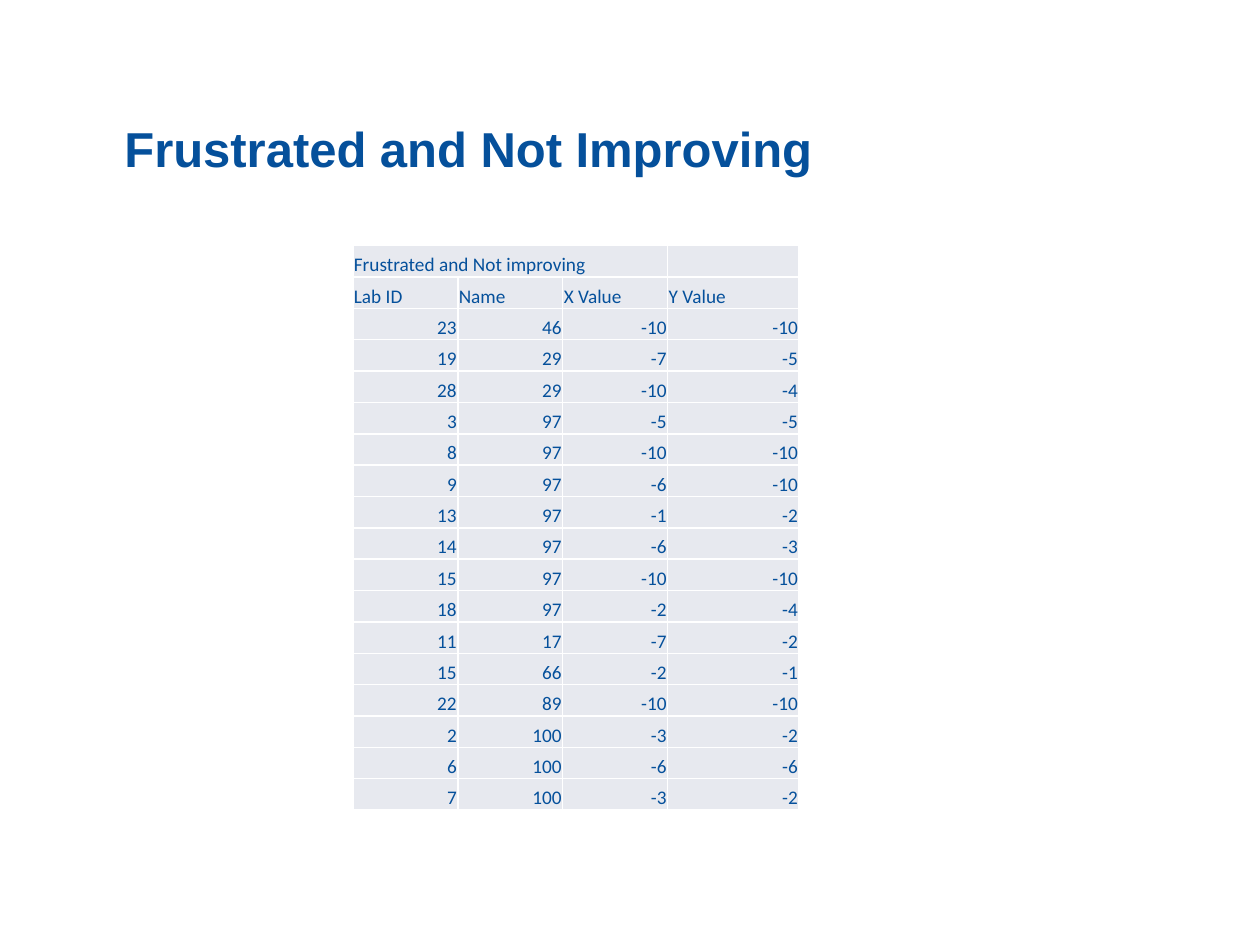
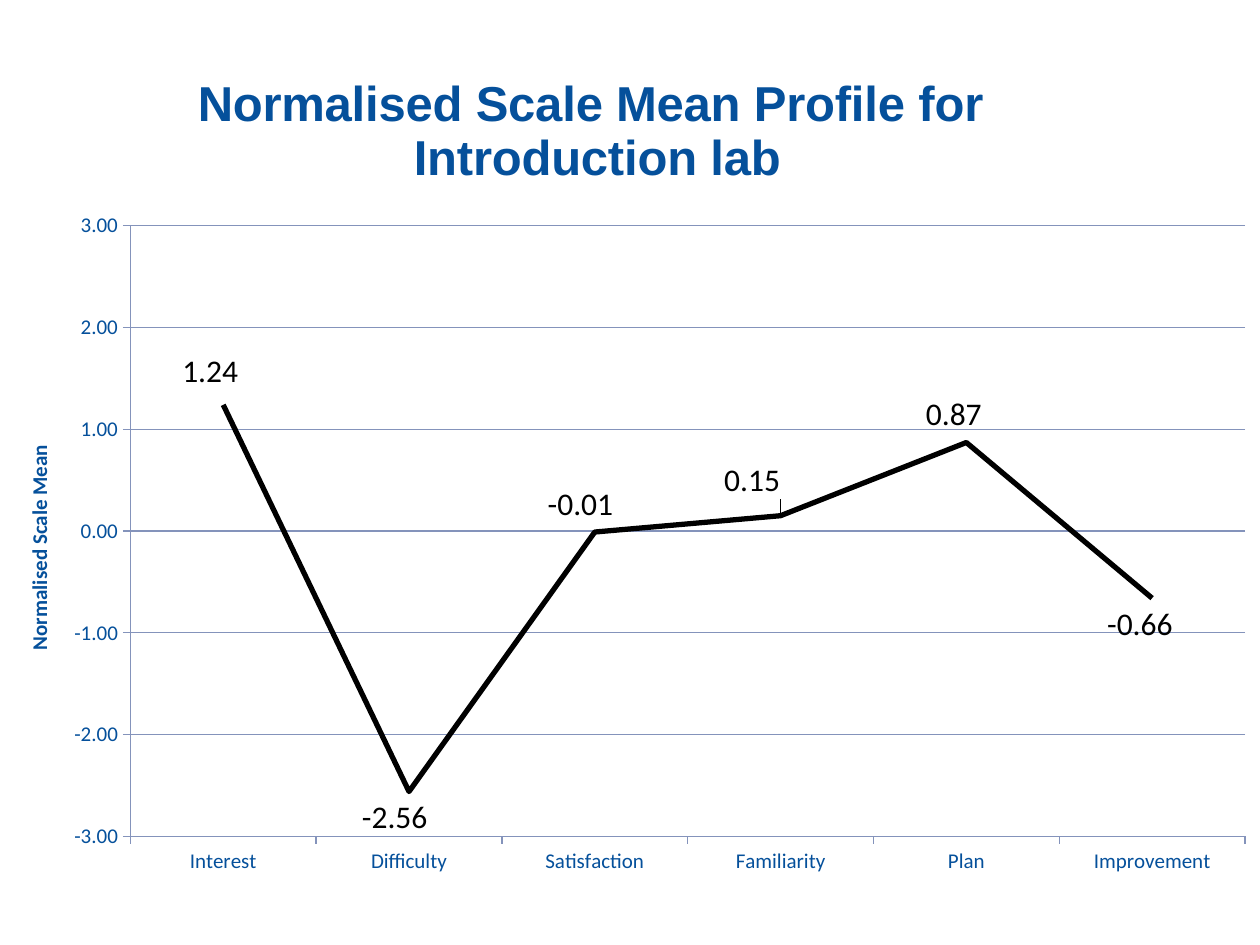
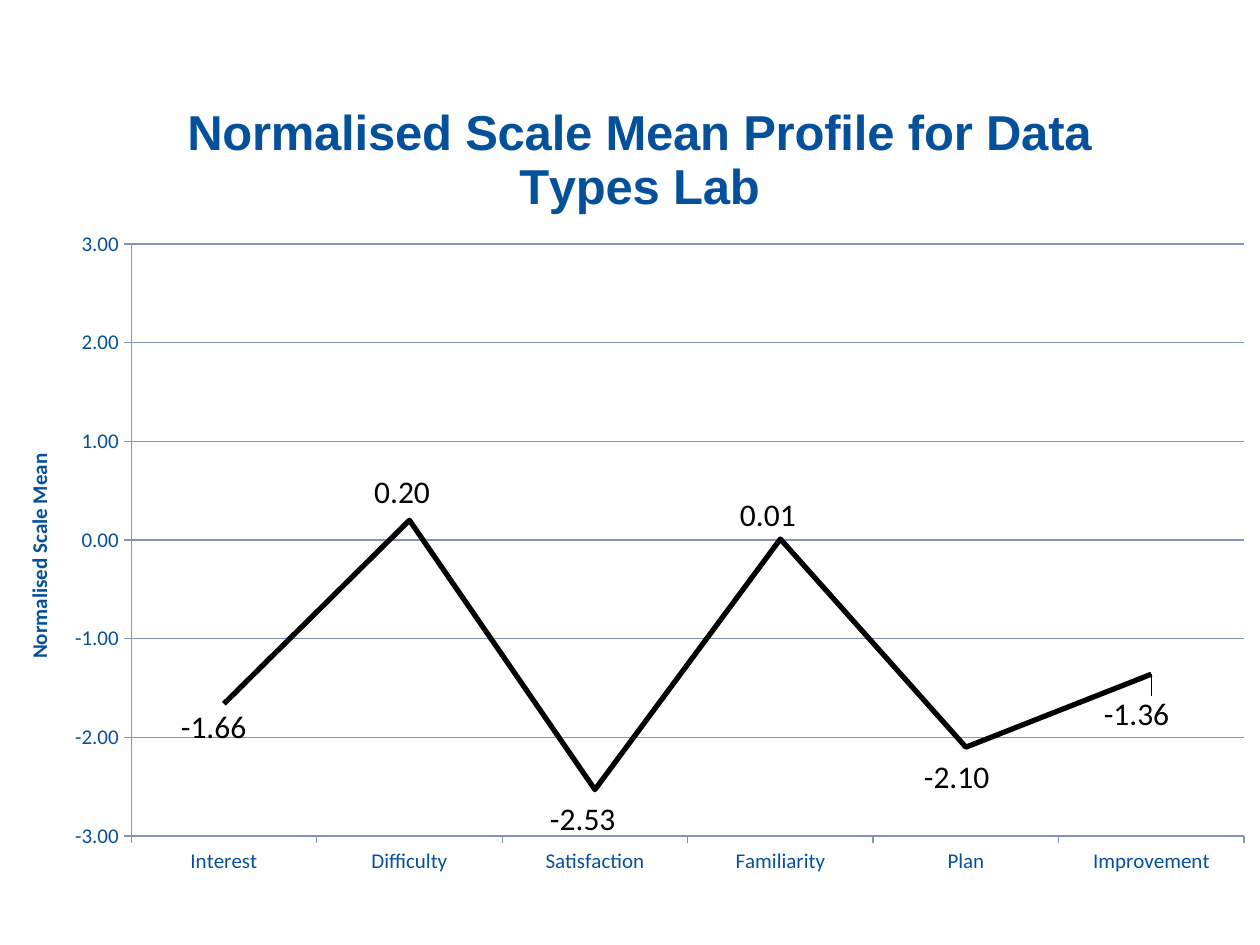
from lxml import etree
from pptx import Presentation
from pptx.chart.data import CategoryChartData
from pptx.dml.color import RGBColor
from pptx.enum.chart import XL_CHART_TYPE as CT, XL_LABEL_POSITION as LP, XL_TICK_MARK as TM
from pptx.enum.chart import XL_MARKER_STYLE as MS, XL_TICK_LABEL_POSITION as TL
from pptx.enum.text import MSO_ANCHOR as ANCHOR, PP_ALIGN as ALIGN
from pptx.oxml.ns import qn
from pptx.util import Pt

BLUE = RGBColor(0x05, 0x50, 0x9B)
CELL = RGBColor(0xE7, 0xE9, 0xEF)
GRID = RGBColor(0x84, 0x93, 0xBB)
BLACK = RGBColor(0, 0, 0)
WHITE = RGBColor(0xFF, 0xFF, 0xFF)
TITLE_FONT, BODY_FONT = "Arial", "Calibri"

# Content
TABLE_TITLE = "Frustrated and Not Improving"
TABLE_ROWS = [
    ("Frustrated and Not improving", "", "", ""),
    ("Lab ID", "Name", "X Value", "Y Value"),
    (23, 46, -10, -10), (19, 29, -7, -5), (28, 29, -10, -4), (3, 97, -5, -5),
    (8, 97, -10, -10), (9, 97, -6, -10), (13, 97, -1, -2), (14, 97, -6, -3),
    (15, 97, -10, -10), (18, 97, -2, -4), (11, 17, -7, -2), (15, 66, -2, -1),
    (22, 89, -10, -10), (2, 100, -3, -2), (6, 100, -6, -6), (7, 100, -3, -2),
]
COL_WIDTHS = (60, 60, 60, 75)
ROW_HEIGHT = 17.92

SCALES = ("Interest", "Difficulty", "Satisfaction", "Familiarity", "Plan", "Improvement")
AXIS_TITLE = "Normalised Scale Mean"
# Boxes are left, top, width, height on the slide; shifts move each value label
PROFILES = [
    dict(title="Normalised Scale Mean Profile for  Introduction lab",
         values=(1.24, -2.56, -0.01, 0.15, 0.87, -0.66),
         frame=(-6.5, 31, 732, 479), plot=(74.5, 129, 637, 349),
         title_at=(108, 36.5), axis_title_at=(12, 252),
         shifts=((11.4, -18.9), (13.4, 14.9), (13.4, -16), (2.6, -20), (11.7, -16), (14.6, 14.9))),
    dict(title="Normalised Scale Mean Profile for Data Types Lab",
         values=(-1.66, 0.2, -2.53, 0.01, -2.1, -1.36),
         frame=(-6, 31, 731.5, 477.5), plot=(75, 139.5, 636, 338.3),
         title_at=(102, 53), axis_title_at=(12, 257),
         shifts=((15.7, 13.7), (14.6, -16), (14.6, 17), (11.7, -13.7), (16.3, 17), (13.1, 22.9))),
]


def style(font, size, color=BLUE, name=BODY_FONT, bold=False):
    font.size, font.name, font.bold = Pt(size), name, bold
    font.color.rgb = color


def add_run(p, text, *args, **kwargs):
    r = p.add_run()
    r.text = text
    style(r.font, *args, **kwargs)


def add_title_run(p, text):
    add_run(p, text, 28, name=TITLE_FONT, bold=True)


def new_slide(prs):
    s = prs.slides.add_slide(prs.slide_layouts[6])
    s.background.fill.solid()
    s.background.fill.fore_color.rgb = WHITE
    return s


def set_layout(parent, index, **values):
    """Give a chart part a manual layout, in fractions of the chart."""
    for old in parent.findall(qn("c:layout")):
        parent.remove(old)
    layout = etree.Element(qn("c:layout"))
    manual = etree.SubElement(layout, qn("c:manualLayout"))
    for tag, value in values.items():
        etree.SubElement(manual, qn("c:" + tag)).set("val", str(value))
    parent.insert(index, layout)


def add_table_slide(prs):
    s = new_slide(prs)
    # Title
    tf = s.shapes.add_textbox(Pt(64), Pt(16), Pt(439), Pt(89)).text_frame
    tf.word_wrap, tf.vertical_anchor = True, ANCHOR.BOTTOM
    add_title_run(tf.paragraphs[0], TABLE_TITLE)

    # Table
    n = len(TABLE_ROWS)
    table = s.shapes.add_table(n, len(COL_WIDTHS), Pt(201.6), Pt(140.4),
                               Pt(sum(COL_WIDTHS)), Pt(n * ROW_HEIGHT)).table
    table.first_row = table.horz_banding = False
    for col, width in zip(table.columns, COL_WIDTHS):
        col.width = Pt(width)
    for row, values in zip(table.rows, TABLE_ROWS):
        row.height = Pt(ROW_HEIGHT)
        for cell, value in zip(row.cells, values):
            cell.fill.solid()
            cell.fill.fore_color.rgb = CELL
            cell.vertical_anchor = ANCHOR.BOTTOM
            cell.margin_left = cell.margin_right = cell.margin_top = Pt(0.6)
            cell.margin_bottom = 0
            p = cell.text_frame.paragraphs[0]
            if value == "":
                p._p.get_or_add_endParaRPr().set("sz", "1100")
                continue
            if isinstance(value, int):
                p.alignment = ALIGN.RIGHT
            add_run(p, str(value), 11)
    table.cell(0, 0).merge(table.cell(0, 2))


def add_profile_slide(prs, profile):
    s = new_slide(prs)
    left, top, width, height = profile["frame"]

    def place(x, y):
        return dict(xMode="edge", yMode="edge", x=(x - left) / width, y=(y - top) / height)

    data = CategoryChartData(number_format="0.00")
    data.categories = SCALES
    data.add_series("Series 1", profile["values"])
    chart = s.shapes.add_chart(CT.LINE, Pt(left), Pt(top), Pt(width), Pt(height), data).chart
    style(chart.font, 10)
    chart.has_legend = False

    # Titles
    chart.has_title = True
    add_title_run(chart.chart_title.text_frame.paragraphs[0], profile["title"])
    set_layout(chart.chart_title._element, 1, **place(*profile["title_at"]))
    axis_title = chart.value_axis.axis_title
    add_run(axis_title.text_frame.paragraphs[0], AXIS_TITLE, 12, bold=True)
    body = axis_title.text_frame._txBody.find(qn("a:bodyPr"))
    body.set("rot", "-5400000")
    body.set("vert", "horz")
    set_layout(axis_title._element, 1, **place(*profile["axis_title_at"]))

    # Plot area and axes
    x, y, w, h = profile["plot"]
    set_layout(chart._chartSpace.chart.plotArea, 0, layoutTarget="inner",
               **place(x, y), w=w / width, h=h / height)
    for axis in (chart.category_axis, chart.value_axis):
        style(axis.tick_labels.font, 12)
        axis.major_tick_mark, axis.minor_tick_mark = TM.OUTSIDE, TM.NONE
        axis.tick_label_position = TL.LOW
        axis.format.line.color.rgb = GRID
        axis.format.line.width = Pt(0.75)
    va = chart.value_axis
    va.minimum_scale, va.maximum_scale, va.major_unit = -3, 3, 1
    va.tick_labels.number_format, va.tick_labels.number_format_is_linked = "0.00", False
    va.major_gridlines.format.line.color.rgb = GRID
    va.major_gridlines.format.line.width = Pt(0.75)
    cross = chart.category_axis._element.find(qn("c:crosses"))
    cross.set("val", "min")

    # Line and its value labels
    plot = chart.plots[0]
    plot.vary_by_categories = False
    series = plot.series[0]
    series.smooth = False
    series.marker.style = MS.NONE
    series.format.line.color.rgb = BLACK
    series.format.line.width = Pt(3)
    labels = series.data_labels
    labels.show_value, labels.position = True, LP.LEFT
    labels.number_format, labels.number_format_is_linked = "#,##0.00", False
    style(labels.font, 18, BLACK)
    for i, (dx, dy) in enumerate(profile["shifts"]):
        label = series.points[i].data_label
        style(label.font, 18, BLACK)
        label.position = LP.LEFT
    for dlbl, (dx, dy) in zip(labels._element.findall(qn("c:dLbl")), profile["shifts"]):
        set_layout(dlbl, 1, x=dx / width, y=dy / height)


def main():
    prs = Presentation()
    prs.slide_width, prs.slide_height = Pt(720), Pt(540)
    add_table_slide(prs)
    for profile in PROFILES:
        add_profile_slide(prs, profile)
    prs.save("out.pptx")


if __name__ == "__main__":
    main()
